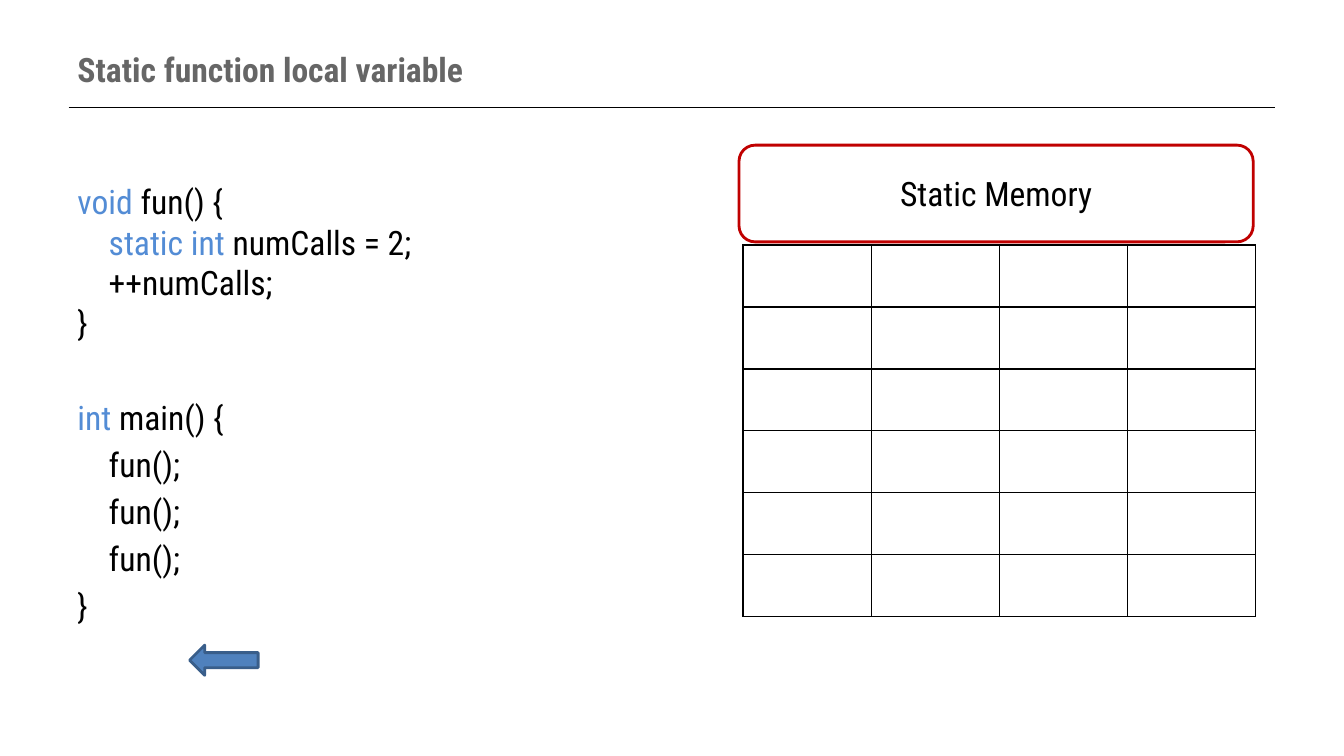
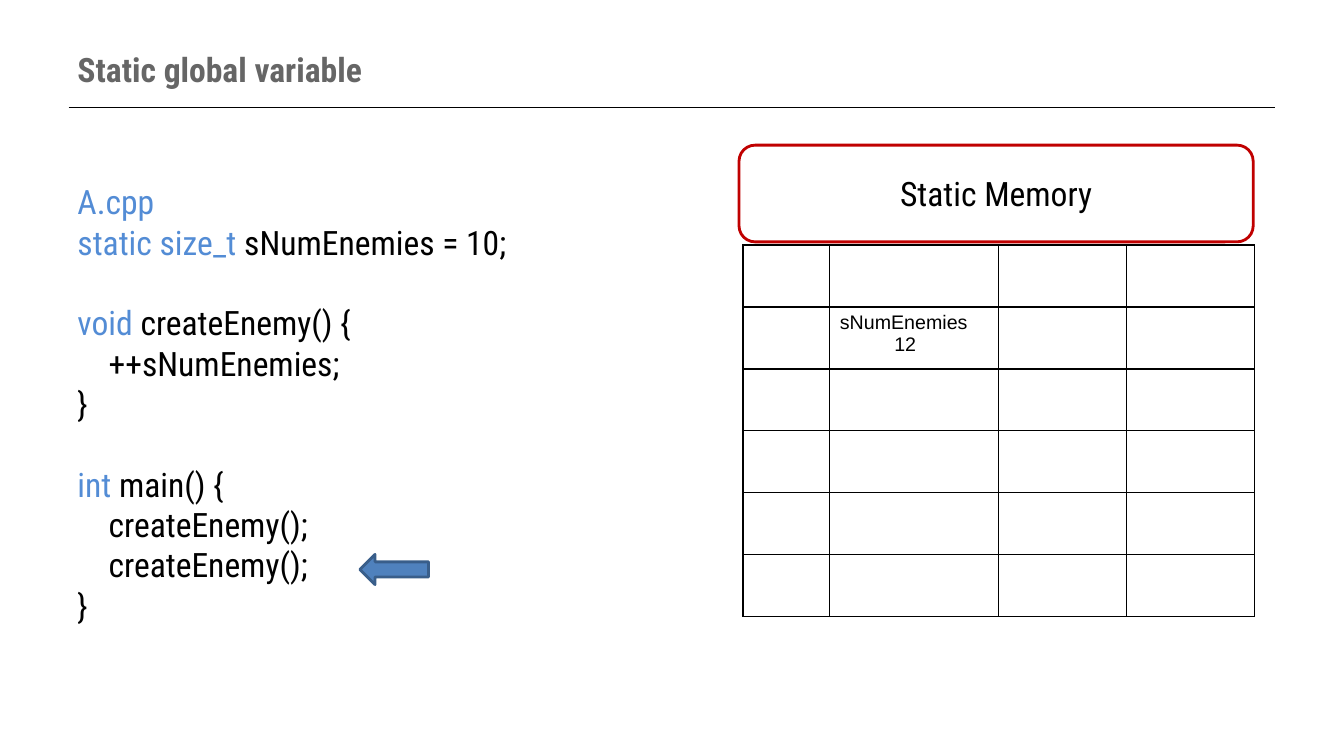
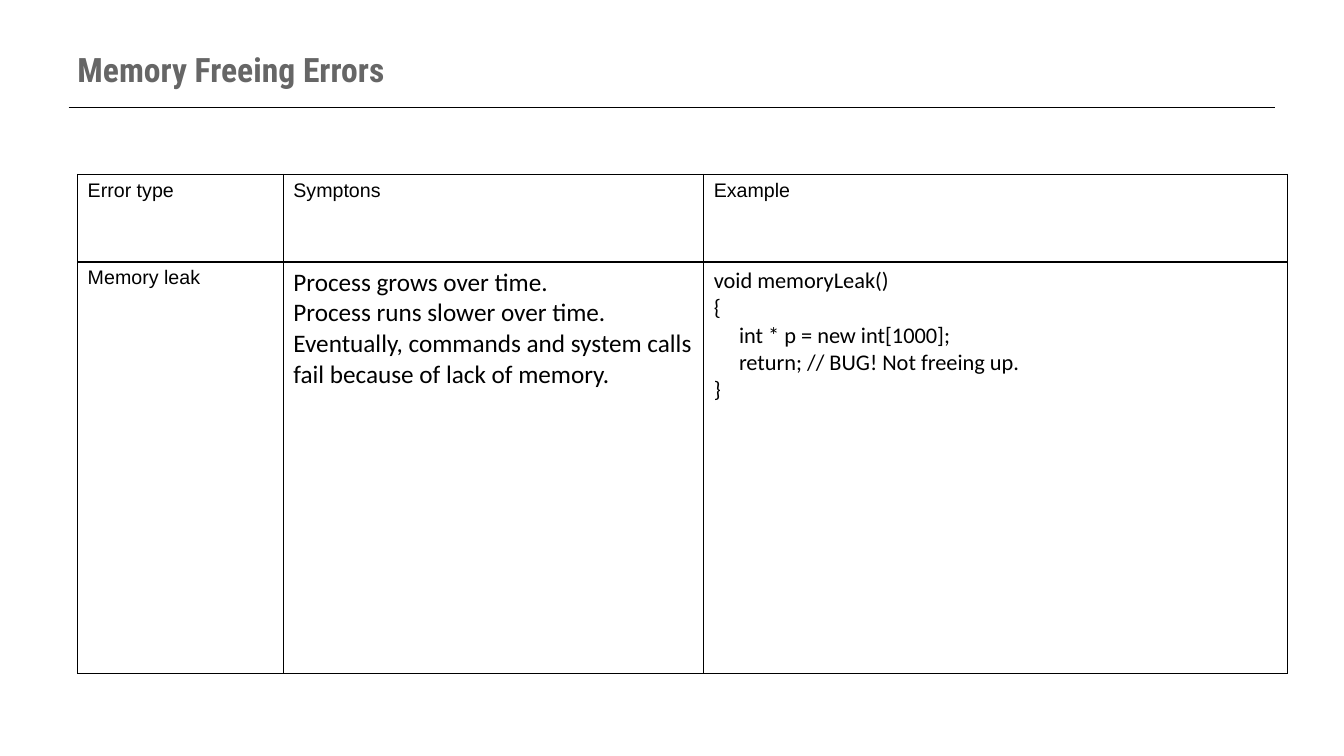
from pptx import Presentation
from pptx.dml.color import RGBColor
from pptx.enum.shapes import MSO_CONNECTOR, MSO_SHAPE
from pptx.enum.text import MSO_ANCHOR, PP_ALIGN
from pptx.oxml import parse_xml
from pptx.oxml.ns import nsdecls
from pptx.oxml.xmlchemy import OxmlElement
from pptx.util import Inches, Pt

# Shared colours and fonts
BLACK = RGBColor(0x00, 0x00, 0x00)
WHITE = RGBColor(0xFF, 0xFF, 0xFF)
TITLE_GREY = RGBColor(0x66, 0x66, 0x66)
KEYWORD_BLUE = RGBColor(0x53, 0x8C, 0xD5)
FRAME_RED = RGBColor(0xC0, 0x00, 0x00)
ARROW_BLUE = RGBColor(0x4F, 0x81, 0xBD)
ARROW_EDGE = RGBColor(0x39, 0x5E, 0x8A)
MAIN_FONT = "Roboto Condensed"
MAIN_SIZE = 24
CODE_INDENT = 0.31

MEMORY_ROWS = 6
MEMORY_ROW_HEIGHT = 0.615


def add_run(paragraph, text, color=BLACK, font=MAIN_FONT, size=MAIN_SIZE, bold=False):
    run = paragraph.add_run()
    run.text = text
    run.font.name = font
    run.font.size = Pt(size)
    run.font.bold = bold
    run.font.color.rgb = color


def next_paragraph(frame, index):
    return frame.paragraphs[0] if index == 0 else frame.add_paragraph()


def indent_paragraph(paragraph, inches):
    properties = paragraph._p.get_or_add_pPr()
    properties.set("marL", str(Inches(inches)))
    properties.set("indent", "0")


def add_text_box(slide, left, top, width, height):
    box = slide.shapes.add_textbox(Inches(left), Inches(top), Inches(width), Inches(height))
    box.text_frame.word_wrap = True
    return box.text_frame


def add_titled_slide(presentation, title):
    """Blank slide with the shared title and the rule under it."""
    slide = presentation.slides.add_slide(presentation.slide_layouts[6])
    rule = slide.shapes.add_connector(
        MSO_CONNECTOR.STRAIGHT, Inches(0.68), Inches(1.07), Inches(12.65), Inches(1.07))
    rule.line.color.rgb = BLACK
    rule.line.width = Pt(0.75)
    rule._element.spPr.append(OxmlElement("a:effectLst"))
    frame = add_text_box(slide, 0.67, 0.3, 12, 0.77)
    frame.vertical_anchor = MSO_ANCHOR.MIDDLE
    add_run(frame.paragraphs[0], title, TITLE_GREY, bold=True)
    return slide


def add_code(slide, width, lines):
    """Each line is (indent level, space before, keyword, remaining text)."""
    frame = add_text_box(slide, 0.67, 1.75, width, 4.95)
    for index, (level, space_before, keyword, rest) in enumerate(lines):
        paragraph = next_paragraph(frame, index)
        paragraph.space_before = Pt(space_before)
        indent_paragraph(paragraph, level * CODE_INDENT)
        if keyword:
            add_run(paragraph, keyword, KEYWORD_BLUE)
        if rest:
            add_run(paragraph, rest)


def style_cell(cell):
    """Thin black borders and no fill."""
    properties = cell._tc.get_or_add_tcPr()
    for side in ("lnL", "lnR", "lnT", "lnB"):
        properties.append(parse_xml(
            f'<a:{side} {nsdecls("a")} w="{Pt(1)}"><a:solidFill>'
            f'<a:srgbClr val="{BLACK}"/></a:solidFill></a:{side}>'))
    cell.fill.background()


def add_grid(slide, left, top, column_widths, row_heights):
    table = slide.shapes.add_table(
        len(row_heights), len(column_widths), Inches(left), Inches(top),
        Inches(sum(column_widths)), Inches(sum(row_heights))).table
    table.first_row = False
    table.horz_banding = False
    for column, width in zip(table.columns, column_widths):
        column.width = Inches(width)
    for row, height in zip(table.rows, row_heights):
        row.height = Inches(height)
    for cell in table.iter_cells():
        style_cell(cell)
    return table


def fill_cell(cell, lines, font="Arial", size=14):
    """Each line is (indent in inches, text)."""
    for index, (indent, text) in enumerate(lines):
        paragraph = next_paragraph(cell.text_frame, index)
        indent_paragraph(paragraph, indent)
        add_run(paragraph, text, font=font, size=size)


def add_shape(slide, kind, left, top, width, height, fill, edge):
    shape = slide.shapes.add_shape(
        kind, Inches(left), Inches(top), Inches(width), Inches(height))
    shape.shadow.inherit = False
    shape.fill.solid()
    shape.fill.fore_color.rgb = fill
    shape.line.color.rgb = edge
    shape.line.width = Pt(2)
    return shape


def add_static_memory(slide, column_widths):
    table = add_grid(slide, 7.37, 2.43, column_widths, [MEMORY_ROW_HEIGHT] * MEMORY_ROWS)
    header = add_shape(slide, MSO_SHAPE.ROUNDED_RECTANGLE, 7.33, 1.44, 5.1, 0.96,
                       WHITE, FRAME_RED)
    header.text_frame.vertical_anchor = MSO_ANCHOR.MIDDLE
    paragraph = header.text_frame.paragraphs[0]
    paragraph.alignment = PP_ALIGN.CENTER
    add_run(paragraph, "Static Memory")
    return table


def add_step_arrow(slide, left, top):
    add_shape(slide, MSO_SHAPE.LEFT_ARROW, left, top, 0.68, 0.3, ARROW_BLUE, ARROW_EDGE)


def build_local_variable(presentation):
    slide = add_titled_slide(presentation, "Static function local variable")
    add_code(slide, 5.97, [
        (0, 0, "void", " fun() {"),
        (1, 0, "static int ", "numCalls = 2;"),
        (1, 0, "", "++numCalls;"),
        (0, 0, "", "}"),
        (0, 38.4, "int ", "main() {"),
        *[(1, 4.8, "", "fun();")] * 3,
        (0, 4.8, "", "}"),
    ])
    add_static_memory(slide, [1.27] * 4)
    add_step_arrow(slide, 1.88, 6.4)


def build_global_variable(presentation):
    slide = add_titled_slide(presentation, "Static global variable")
    add_code(slide, 12.07, [
        (0, 0, "A.cpp", ""),
        (0, 0, "static size_t ", "sNumEnemies = 10;"),
        (0, 28.8, "void", " createEnemy() {"),
        (1, 0, "", "++sNumEnemies;"),
        (0, 0, "", "}"),
        (0, 28.8, "int ", "main() {"),
        *[(1, 0, "", "createEnemy();")] * 2,
        (0, 0, "", "}"),
    ])
    table = add_static_memory(slide, [0.86, 1.67, 1.27, 1.27])
    fill_cell(table.cell(1, 1), [(0, "sNumEnemies"), (0.54, "12")])
    add_step_arrow(slide, 3.57, 5.5)


def build_freeing_errors(presentation):
    slide = add_titled_slide(presentation, "Memory Freeing Errors")
    table = add_grid(slide, 0.77, 1.73, [2.04, 4.17, 5.79], [0.87, 4.08])
    for column, heading in enumerate(("Error type", "Symptons", "Example")):
        fill_cell(table.cell(0, column), [(0, heading)])
    fill_cell(table.cell(1, 0), [(0, "Memory leak")])
    fill_cell(table.cell(1, 1), [
        (0, "Process grows over time."),
        (0, "Process runs slower over time."),
        (0, "Eventually, commands and system calls fail because of lack of memory."),
    ], "Calibri", 18)
    fill_cell(table.cell(1, 2), [
        (0, "void memoryLeak()"),
        (0, "{"),
        (0.25, "int * p = new int[1000];"),
        (0.25, "return; // BUG! Not freeing up."),
        (0, "}"),
    ], "Calibri", 16)


def main():
    presentation = Presentation()
    presentation.slide_width = Inches(13.33)
    presentation.slide_height = Inches(7.5)
    build_local_variable(presentation)
    build_global_variable(presentation)
    build_freeing_errors(presentation)
    presentation.save("out.pptx")


if __name__ == "__main__":
    main()
